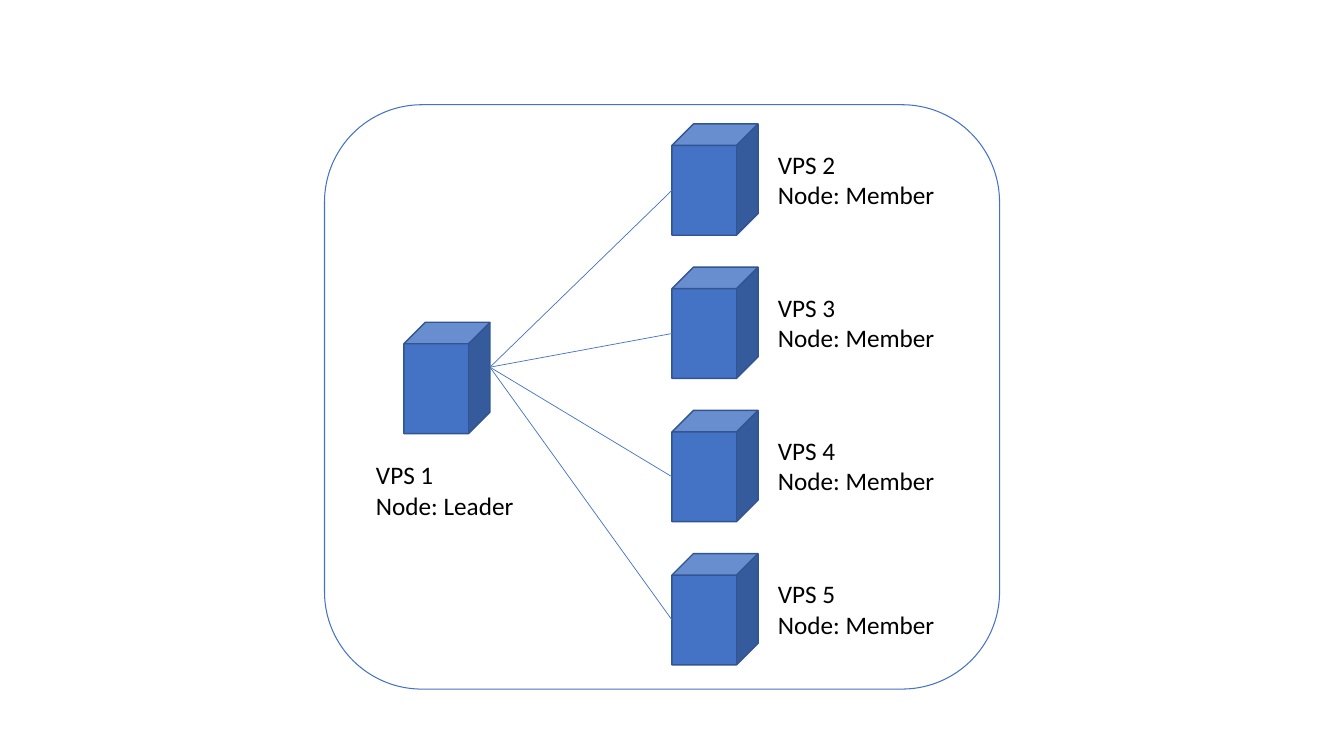
from pptx import Presentation
from pptx.dml.color import RGBColor
from pptx.enum.shapes import MSO_CONNECTOR, MSO_SHAPE
from pptx.enum.text import MSO_AUTO_SIZE
from pptx.oxml.ns import qn
from pptx.util import Pt
from lxml import etree

CUBE, ROUNDED = MSO_SHAPE.CUBE, MSO_SHAPE.ROUNDED_RECTANGLE
STRAIGHT = MSO_CONNECTOR.STRAIGHT
FIT_SHAPE = MSO_AUTO_SIZE.SHAPE_TO_FIT_TEXT
BLUE = RGBColor(0x44, 0x72, 0xC4)
DARK_BLUE = RGBColor(0x32, 0x54, 0x91)
BLACK = RGBColor(0, 0, 0)
LABEL_FONT = {"name": "Calibri", "size": Pt(18)}
CUBE_WIDTH, CUBE_HEIGHT = 61.5, 79.5
CUBE_DEPTH = CUBE_WIDTH / 4
LEADER_LEFT, LEADER_TOP = 288.5, 230.2
MEMBER_LEFT, MEMBER_TOP, MEMBER_STEP = 480, 88.5, 102.3


def add_server(left, top):
    cube = page.shapes.add_shape(
        CUBE, Pt(left), Pt(top), Pt(CUBE_WIDTH), Pt(CUBE_HEIGHT))
    cube.shadow.inherit = False
    cube.fill.solid()
    cube.fill.fore_color.rgb = BLUE
    cube.line.color.rgb = DARK_BLUE
    cube.line.width = Pt(1)


def add_label(left, top, lines):
    box = page.shapes.add_textbox(Pt(left), Pt(top), Pt(127.5), Pt(50.9))
    frame = box.text_frame
    frame.word_wrap = True
    frame.auto_size = FIT_SHAPE
    frame.text = "\n".join(lines)
    for para in frame.paragraphs:
        for span in para.runs:
            for key, value in LABEL_FONT.items():
                setattr(span.font, key, value)
            span.font.color.rgb = BLACK


deck = Presentation()
deck.slide_width, deck.slide_height = Pt(960), Pt(540)
page = deck.slides.add_slide(deck.slide_layouts[6])

add_server(LEADER_LEFT, LEADER_TOP)
add_label(261.5, 324.9, ["VPS 1", "Node: Leader"])

member_tops = [MEMBER_TOP + index * MEMBER_STEP for index in range(4)]
for number, top in enumerate(member_tops, start=2):
    add_server(MEMBER_LEFT, top)
    add_label(548.6, top + 14.5, [f"VPS {number}", "Node: Member"])

leader_right = LEADER_LEFT + CUBE_WIDTH
leader_middle = LEADER_TOP + (CUBE_HEIGHT - CUBE_DEPTH) / 2
for top in member_tops:
    member_middle = top + (CUBE_HEIGHT + CUBE_DEPTH) / 2
    link = page.shapes.add_connector(
        STRAIGHT, Pt(leader_right), Pt(leader_middle),
        Pt(MEMBER_LEFT), Pt(member_middle))
    link.line.color.rgb = BLUE
    link.line.width = Pt(0.5)
    etree.SubElement(link.element.spPr, qn("a:effectLst"))

cluster = page.shapes.add_shape(ROUNDED, Pt(231.8), Pt(74.8), Pt(482.2), Pt(417.4))
cluster.shadow.inherit = False
cluster.fill.background()
cluster.line.color.rgb = BLUE
cluster.line.width = Pt(0.75)

deck.save("out.pptx")
